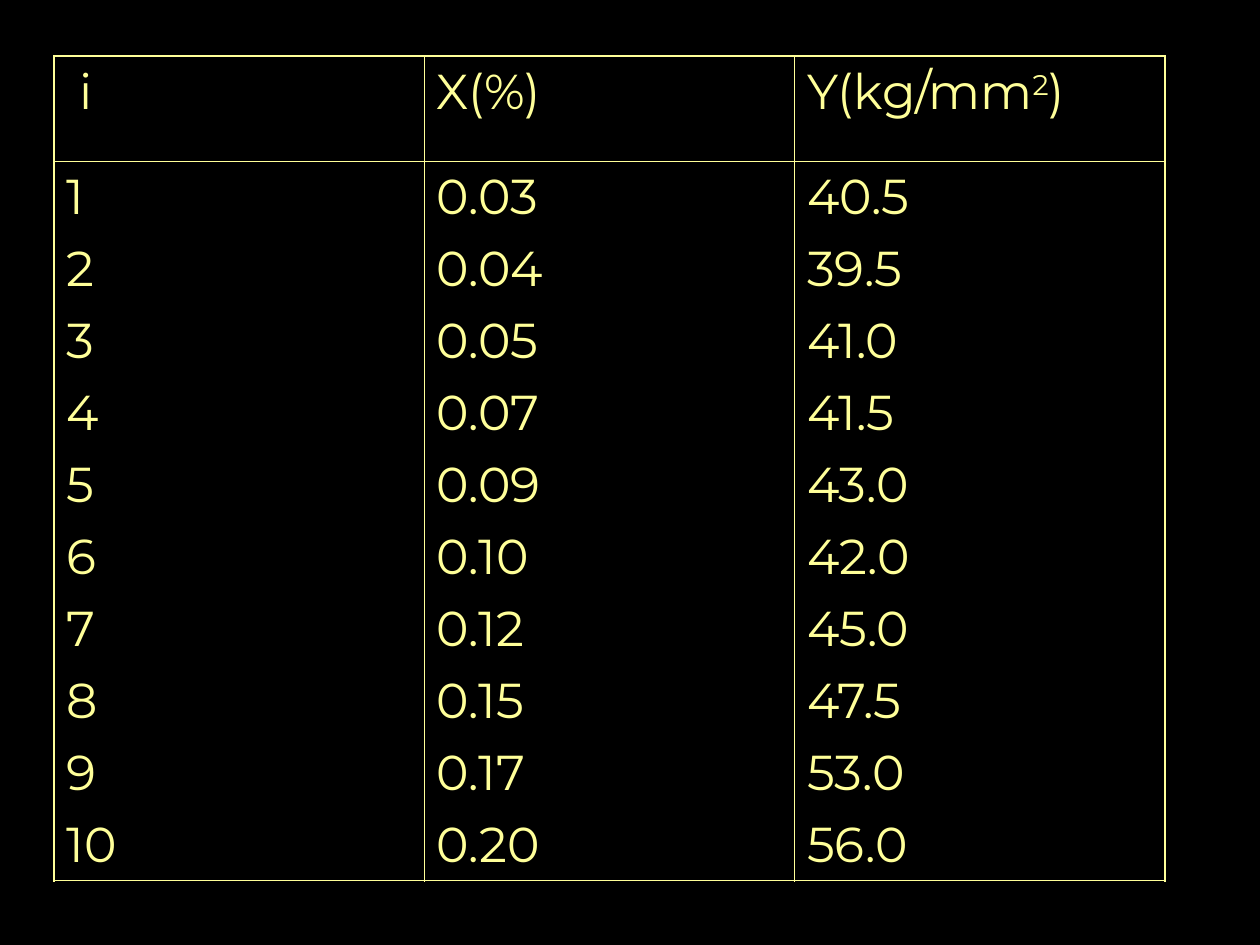
"""Builds a slide with one table of paired X and Y measurements."""
import pptx
import pptx.dml.color
import pptx.oxml
import pptx.oxml.ns
import pptx.util

PX = 914400 / 126
BLACK = pptx.dml.color.RGBColor(0x00, 0x00, 0x00)
YELLOW = pptx.dml.color.RGBColor(0xFF, 0xFF, 0x99)
THICK, THIN = 1.08, 0.45

HEADERS = [[(" i", 0)], [("X(%)", 0)], [("Y(kg/mm", 0), ("2", 30), (")", 0)]]
COLUMNS = [
    ["1", "2", "3", "4", "5", "6", "7", "8", "9", "10"],
    ["0.03", "0.04", "0.05", "0.07", "0.09", "0.10", "0.12", "0.15", "0.17", "0.20"],
    ["40.5", "39.5", "41.0", "41.5", "43.0", "42.0", "45.0", "47.5", "53.0", "56.0"],
]


def px(length):
    return pptx.util.Emu(round(length * PX))


def add_text(para, text, size=28, font="Montserrat", color=YELLOW, raised=0):
    span = para.add_run()
    span.text = text
    span.font.size = pptx.util.Pt(size)
    span.font.name = font
    span.font.bold = False
    span.font.color.rgb = color
    if raised:
        span.font._element.set("baseline", str(raised * 1000))


def set_border(cell, side, width):
    line = pptx.oxml.parse_xml(
        f'<a:ln{side} {pptx.oxml.ns.nsdecls("a")} w="{pptx.util.Pt(width)}">'
        f'<a:solidFill><a:srgbClr val="{YELLOW}"/></a:solidFill></a:ln{side}>'
    )
    cell._tc.get_or_add_tcPr().append(line)


def fill_cell(cell, lines):
    for index, spans in enumerate(lines):
        frame = cell.text_frame
        para = frame.add_paragraph() if index else frame.paragraphs[0]
        if index:
            para.space_before = pptx.util.Pt(7)
        for text, raised in spans:
            add_text(para, text, raised=raised)


def add_measurements(page, left, top, width, row_heights):
    count = len(COLUMNS)
    shape = page.shapes.add_table(
        len(row_heights), count, px(left), px(top), px(width), px(sum(row_heights))
    )
    table = shape.table
    table.first_row = table.horz_banding = False
    for row, height in zip(table.rows, row_heights):
        row.height = px(height)
    for index, values in enumerate(COLUMNS):
        table.columns[index].width = px(width / count)
        body = [[(value, 0)] for value in values]
        for row, lines in enumerate([[HEADERS[index]], body]):
            cell = table.cell(row, index)
            fill_cell(cell, lines)
            outer = {"L": index == 0, "R": index == count - 1, "T": row == 0, "B": row == 1}
            for side, is_outer in outer.items():
                set_border(cell, side, THICK if is_outer else THIN)
            cell.fill.background()


def main():
    deck = pptx.Presentation()
    deck.slide_width, deck.slide_height = px(1260), px(945)
    page = deck.slides.add_slide(deck.slide_layouts[6])
    page.background.fill.solid()
    page.background.fill.fore_color.rgb = BLACK
    add_measurements(page, left=54, top=56, width=1111, row_heights=[105, 711])
    deck.save("out.pptx")


if __name__ == "__main__":
    main()
